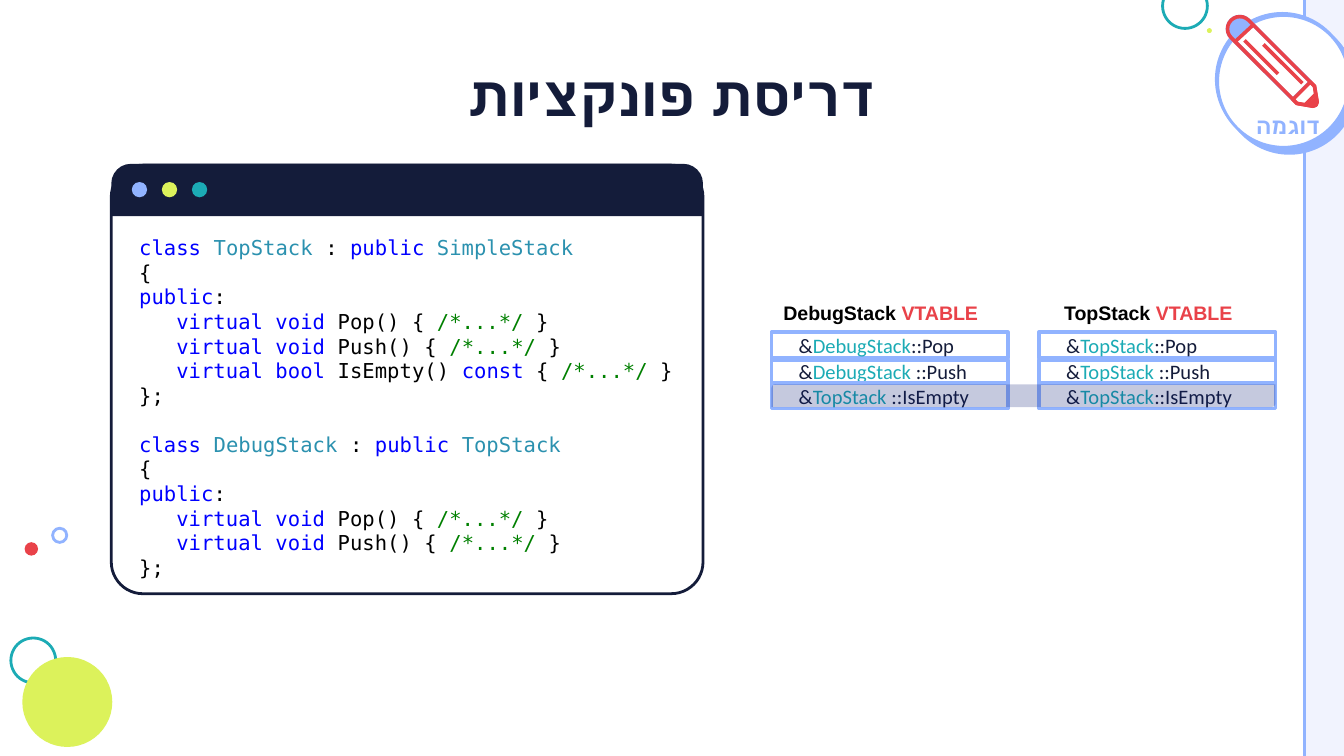
from math import cos, radians, sin

from lxml import etree
from pptx import Presentation
from pptx.dml.color import RGBColor
from pptx.enum.shapes import MSO_CONNECTOR, MSO_SHAPE
from pptx.enum.text import MSO_ANCHOR, PP_ALIGN
from pptx.oxml.ns import qn
from pptx.util import Pt

RECT = MSO_SHAPE.RECTANGLE
OVAL = MSO_SHAPE.OVAL
ROUNDED = MSO_SHAPE.ROUNDED_RECTANGLE
TOP_ROUNDED = MSO_SHAPE.ROUND_2_SAME_RECTANGLE
DIAG_ROUNDED = MSO_SHAPE.ROUND_2_DIAG_RECTANGLE
STRAIGHT = MSO_CONNECTOR.STRAIGHT
TOP, MIDDLE, BOTTOM = MSO_ANCHOR.TOP, MSO_ANCHOR.MIDDLE, MSO_ANCHOR.BOTTOM
LEFT, CENTER = PP_ALIGN.LEFT, PP_ALIGN.CENTER

NAVY, BLUE, TEAL = "141C3A", "91B3FF", "1CABB5"
LIME, RED, WHITE, BLACK = "DCF25B", "E94249", "FFFFFF", "000000"
KEYWORD, TYPE, COMMENT = "0000FF", "2B91AF", "008000"


def rgb(value):
    return RGBColor.from_string(value)


class Deck:
    title = {"name": "Arial", "size": Pt(30), "bold": True}
    badge = {"name": "Arial", "size": Pt(12), "bold": True}
    header = {"name": "Arial", "size": Pt(10.5), "bold": True}
    cell = {"name": "Calibri", "size": Pt(11), "bold": False}
    code = {"name": "DejaVu Sans Mono", "size": Pt(11), "bold": False}

    def __init__(self, width, height):
        self.prs = Presentation()
        self.prs.slide_width, self.prs.slide_height = Pt(width), Pt(height)
        self.s = self.prs.slides.add_slide(self.prs.slide_layouts[6])

    def paint(self, sp, fill, line, width):
        sp.shadow.inherit = False
        if fill:
            sp.fill.solid()
            sp.fill.fore_color.rgb = rgb(fill)
        else:
            sp.fill.background()
        if line:
            sp.line.color.rgb = rgb(line)
            sp.line.width = Pt(width)
        else:
            sp.line.fill.background()
        return sp

    def shape(self, kind, box, fill=None, line=None, width=1.5, adj=()):
        sp = self.s.shapes.add_shape(kind, *map(Pt, box))
        for i, value in enumerate(adj):
            sp.adjustments[i] = value
        return self.paint(sp, fill, line, width)

    def circle(self, x, y, d, fill=None, line=None):
        return self.shape(OVAL, (x, y, d, d), fill, line)

    def drop_shadow(self, sp, color, distance, angle):
        effects = sp._element.spPr.find(qn("a:effectLst"))
        shadow = etree.SubElement(effects, qn("a:outerShdw"), blurRad="0", dist=str(Pt(distance)),
                                  dir=str(angle * 60000), algn="bl", rotWithShape="0")
        etree.SubElement(shadow, qn("a:srgbClr"), val=color)

    def opacity(self, sp, percent):
        color = sp._element.spPr.find(qn("a:solidFill"))[0]
        etree.SubElement(color, qn("a:alpha"), val=str(percent * 1000))

    def outline(self, points, fill=None, line=None, width=1.92):
        pts = [(Pt(x), Pt(y)) for x, y in points]
        fb = self.s.shapes.build_freeform(*pts[0], scale=1.0)
        fb.add_line_segments(pts[1:], close=True)
        return self.paint(fb.convert_to_shape(), fill, line, width)

    def line(self, x1, y1, x2, y2, color, width):
        c = self.s.shapes.add_connector(STRAIGHT, *map(Pt, (x1, y1, x2, y2)))
        c.line.color.rgb = rgb(color)
        c.line.width = Pt(width)
        etree.SubElement(c._element.spPr, qn("a:effectLst"))

    def label(self, sp, lines, style, inset=(7.2, 3.6, 7.2, 3.6), anchor=TOP,
              align=LEFT, rtl=False, spacing=None, gaps=None):
        tf = sp.text_frame
        sides = dict(zip(("margin_left", "margin_top", "margin_right", "margin_bottom"), map(Pt, inset)))
        for name, value in {"word_wrap": True, "vertical_anchor": anchor, **sides}.items():
            setattr(tf, name, value)
        for i, runs in enumerate(lines):
            p = tf.add_paragraph() if i else tf.paragraphs[0]
            p.alignment = align
            if spacing:
                p.line_spacing = spacing
            if gaps and i in gaps:
                p.space_before = Pt(gaps[i])
            if rtl:
                p._p.get_or_add_pPr().set("rtl", "1")
            for text, color in runs:
                r = p.add_run()
                r.text = text
                for name, value in style.items():
                    setattr(r.font, name, value)
                r.font.color.rgb = rgb(color)

    def text(self, box, lines, style, **layout):
        self.label(self.s.shapes.add_textbox(*map(Pt, box)), lines, style, **layout)


def code_runs(source):
    colors = {"class": KEYWORD, "public": KEYWORD, "const": KEYWORD,
              "virtual void": KEYWORD, "virtual bool": KEYWORD,
              "SimpleStack": TYPE, "TopStack": TYPE, "DebugStack": TYPE, "/*...*/": COMMENT}
    return [(part, colors.get(part.strip(), BLACK)) for part in source.split("|")]


def background(deck):
    deck.shape(RECT, (699, 0, 21, 405), "F1F3FE")
    deck.line(699, 0, 699, 405, BLUE, 1.5)
    for x, y, d, fill, line in [
        (622.8, -8.8, 24, None, TEAL), (5.8, 341.8, 24, None, TEAL),
        (12, 352, 48.2, LIME, None), (13.2, 290.5, 7.2, RED, None),
        (28.2, 283, 7.6, None, BLUE), (646.6, 15.1, 2.6, LIME, None),
    ]:
        deck.circle(x, y, d, fill, line)


def code_window(deck):
    methods = [f"   virtual void| {name}() {{ |/*...*/| }}" for name in ("Pop", "Push")]
    opening = ["{", "public|:"]
    source = ["class |TopStack| : |public |SimpleStack", *opening, *methods,
              "   virtual bool |IsEmpty() |const| { |/*...*/| }", "};",
              "class |DebugStack| : |public |TopStack", *opening, *methods, "};"]
    window = deck.shape(ROUNDED, (59.6, 88.5, 317, 229.6), WHITE, NAVY, adj=[0.074])
    deck.label(window, [code_runs(line) for line in source], deck.code,
               inset=(10, 32.4, 10, 7.2), gaps={7: 13})
    deck.shape(TOP_ROUNDED, (59.6, 87.8, 317, 28), NAVY, adj=[0.377, 0])
    for i, color in enumerate((BLUE, LIME, TEAL)):
        deck.circle(70.6 + 16.1 * i, 97.5, 8.2, color)


def badge(deck):
    for x, y in [(651.6, 7.2), (652.3, 8.3)]:
        deck.drop_shadow(deck.circle(x, y, 70.6, WHITE, BLUE), BLUE, 4.5, 46)
    deck.text((661.7, 53.3, 56.9, 20.9), [[("דוגמה", BLUE)]], deck.badge, inset=(0,) * 4,
              anchor=BOTTOM, align=CENTER, rtl=True, spacing=0.8)


def pencil(deck):
    angles = [radians(a) for a in range(135, 316, 15)]
    cap = [(664.2 + 6.6 * cos(a), 15.5 + 6.6 * sin(a)) for a in angles]
    neck = [(702, 43.9), (692.6, 53.3)]
    tip = [(694.8, 55.4), (703.4, 56.9), (705, 56.3), (705.6, 54.7), (704.2, 46.1)]
    deck.outline(cap + neck, WHITE, BLUE)
    deck.outline(neck + tip, WHITE, RED)
    deck.outline([(705.6, 55.4), (705.6, 51.1), (699.8, 56.2), (704.2, 56.9)], RED)
    deck.outline(cap + [(671.8, 13), (662.4, 22.3)], BLUE)
    deck.outline(cap + tip[::-1], None, RED)
    for ends in [(661.7, 22.3, 671.8, 13), (666.7, 21.6, 684.7, 39.6),
                 (676.8, 23.8, 697.7, 44.6), (699.1, 56.2, 704.9, 50.4)]:
        deck.line(*ends, RED, 1.92)


def vtable(deck, x, name, rows):
    for (y, h), (owner, method) in zip([(178, 13.7), (193, 12), (205.2, 13.7)], rows):
        sp = deck.shape(RECT, (x, y, 126.7, h), None, BLUE, 2)
        deck.label(sp, [[("&", NAVY), (owner, TEAL), (method, NAVY)]], deck.cell,
                   inset=(14.6, 3.6, 7.2, 3.6), anchor=MIDDLE)
    deck.text((x - 3, 157.7, 123.1, 20.9), [[(name + " ", BLACK), ("VTABLE", RED)]],
              deck.header, align=CENTER)


def main():
    deck = Deck(720, 405)
    background(deck)
    deck.text((42.5, 32.4, 635, 51.8), [[("דריסת פונקציות", NAVY)]], deck.title,
              inset=(0,) * 4, align=CENTER, rtl=True)
    code_window(deck)
    badge(deck)
    pencil(deck)
    vtable(deck, 556.6, "TopStack",
           [("TopStack", "::Pop"), ("TopStack ", "::Push"), ("TopStack", "::IsEmpty")])
    vtable(deck, 413.3, "DebugStack",
           [("DebugStack", "::Pop"), ("DebugStack ", "::Push"), ("TopStack ", "::IsEmpty")])
    deck.opacity(deck.shape(DIAG_ROUNDED, (413.3, 205.9, 270, 12.2), "081974"), 23)
    deck.prs.save("out.pptx")


if __name__ == "__main__":
    main()
